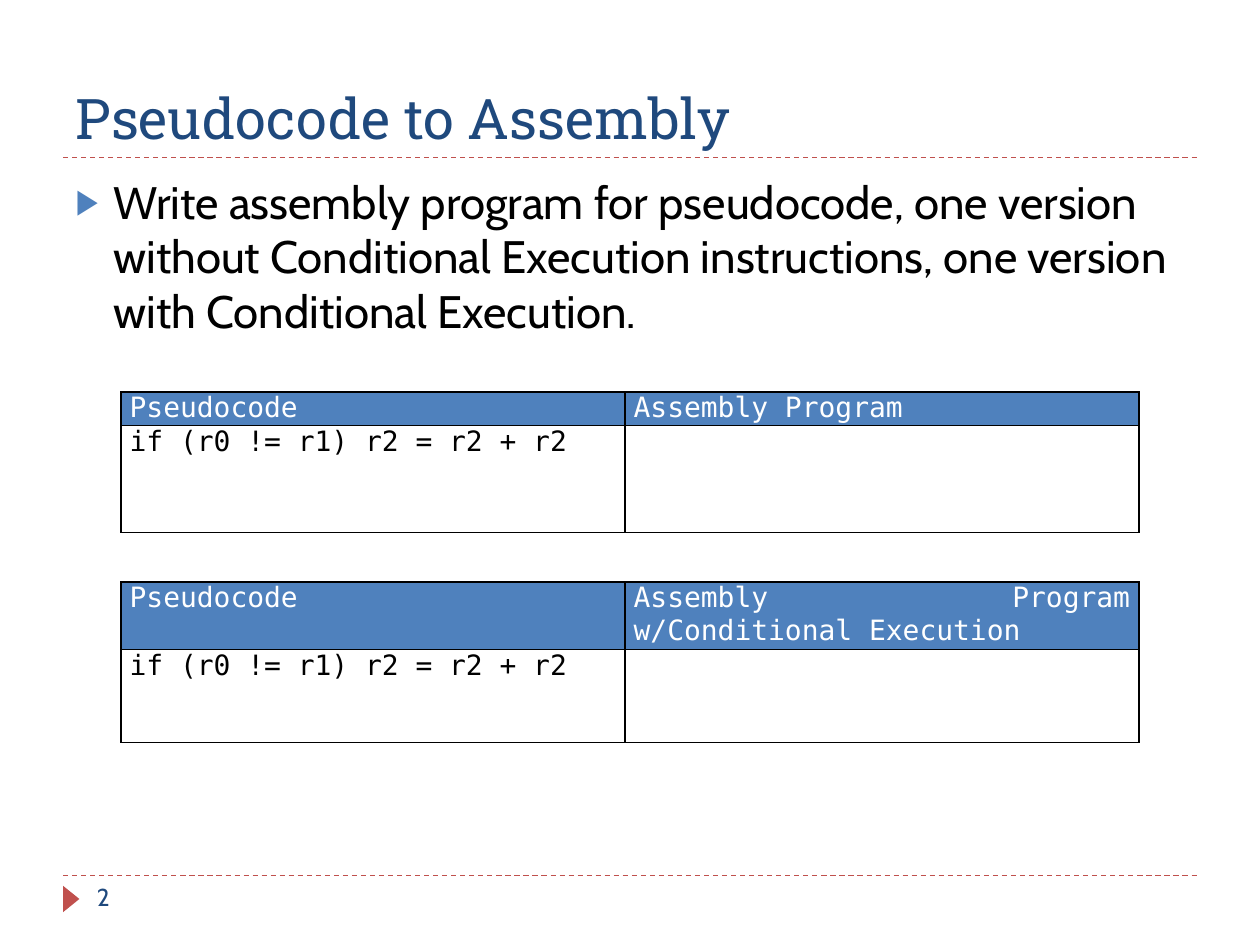
from lxml.etree import SubElement
from pptx import Presentation
from pptx.dml.color import RGBColor
from pptx.enum.dml import MSO_LINE
from pptx.enum.shapes import MSO_CONNECTOR, MSO_SHAPE
from pptx.enum.text import MSO_ANCHOR, MSO_AUTO_SIZE, PP_ALIGN
from pptx.oxml.ns import qn
from pptx.util import Inches, Pt

COLORS = {"navy": "1F497D", "blue": "4F81BD", "red": "C0504D",
          "black": "000000", "white": "FFFFFF"}
TITLE_FONT, BODY_FONT, CODE_FONT = "Roboto Slab", "Cabin", "DejaVu Sans Mono"


def color(name):
    return RGBColor.from_string(COLORS[name])


def place(shape, left, top, width, height):
    shape.left, shape.top = Inches(left), Inches(top)
    shape.width, shape.height = Inches(width), Inches(height)


class SlideBuilder:
    def __init__(self, page):
        self.page = page

    def set_text(self, frame, text, font, size, ink, align=PP_ALIGN.LEFT):
        paragraph = frame.paragraphs[0]
        paragraph.text = text
        paragraph.alignment = align
        paragraph.font.name = font
        paragraph.font.size = Pt(size)
        paragraph.font.color.rgb = color(ink)
        return paragraph

    def title(self, text):
        shape = self.page.shapes.title
        place(shape, 0.5, 0.17, 9, 1.08)
        frame = shape.text_frame
        frame.auto_size = MSO_AUTO_SIZE.NONE
        frame.vertical_anchor = MSO_ANCHOR.BOTTOM
        self.set_text(frame, text, TITLE_FONT, 32, "navy")

    def body(self, text):
        shape = self.page.placeholders[1]
        place(shape, 0.5, 1.33, 9, 2.25)
        frame = shape.text_frame
        frame.auto_size = MSO_AUTO_SIZE.NONE
        paragraph = self.set_text(frame, text, BODY_FONT, 26, "black")
        paragraph.space_before = Pt(6)
        properties = paragraph._p.get_or_add_pPr()
        properties.set("marL", str(Inches(0.3)))
        properties.set("indent", str(Inches(-0.3)))
        bullet_color = SubElement(properties, qn("a:buClr"))
        SubElement(bullet_color, qn("a:srgbClr"), val=COLORS["blue"])
        SubElement(properties, qn("a:buSzPct"), val="76000")
        SubElement(properties, qn("a:buChar"), char="▶")
        properties.append(properties.find(qn("a:defRPr")))

    def rule(self, top):
        line = self.page.shapes.add_connector(
            MSO_CONNECTOR.STRAIGHT, Inches(0.5), Inches(top), Inches(9.5), Inches(top))
        line.line.color.rgb = color("red")
        line.line.width = Pt(0.75)
        line.line.dash_style = MSO_LINE.DASH
        SubElement(line._element.spPr, qn("a:effectLst"))

    def marker(self):
        shape = self.page.shapes.add_shape(
            MSO_SHAPE.ISOSCELES_TRIANGLE, Inches(0.46), Inches(7.07), Inches(0.21), Inches(0.13))
        shape.rotation = 90
        shape.shadow.inherit = False
        shape.fill.solid()
        shape.fill.fore_color.rgb = color("red")
        shape.line.fill.background()

    def page_number(self, number):
        box = self.page.shapes.add_textbox(
            Inches(0.67), Inches(6.95), Inches(2.17), Inches(0.4))
        box.text_frame.word_wrap = True
        self.set_text(box.text_frame, number, BODY_FONT, 14, "navy")

    def cell(self, cell, text, header):
        cell.margin_left = cell.margin_right = Inches(0.07)
        cell.margin_top = cell.margin_bottom = 0
        ink, align = ("white", PP_ALIGN.JUSTIFY) if header else ("black", PP_ALIGN.LEFT)
        self.set_text(cell.text_frame, text, CODE_FONT, 16, ink, align)
        properties = cell._tc.get_or_add_tcPr()
        for side in ("lnL", "lnR", "lnT", "lnB"):
            border = SubElement(properties, qn(f"a:{side}"), w=str(Pt(1)))
            fill = SubElement(border, qn("a:solidFill"))
            SubElement(fill, qn("a:srgbClr"), val=COLORS["black"])
        if header:
            cell.fill.solid()
            cell.fill.fore_color.rgb = color("blue")
        else:
            cell.fill.background()

    def table(self, top, heights, rows):
        table = self.page.shapes.add_table(
            len(rows), 2, Inches(0.96), Inches(top), Inches(8.08), Inches(sum(heights))).table
        table.first_row = table.horz_banding = False
        for column, width in zip(table.columns, (4, 4.08)):
            column.width = Inches(width)
        for index, (texts, height) in enumerate(zip(rows, heights)):
            table.rows[index].height = Inches(height)
            for column, text in enumerate(texts):
                self.cell(table.cell(index, column), text, index == 0)


def main():
    deck = Presentation()
    deck.slide_width, deck.slide_height = Inches(10), Inches(7.5)
    builder = SlideBuilder(deck.slides.add_slide(deck.slide_layouts[1]))
    for top in (6.95, 1.25):
        builder.rule(top)
    builder.marker()
    builder.title("Pseudocode to Assembly")
    builder.page_number("2")
    builder.body("Write assembly program for pseudocode, one version without "
                 "Conditional Execution instructions, one version with "
                 "Conditional Execution.")
    code_row = ("if (r0 != r1) r2 = r2 + r2", "")
    for top, heights, heading in (
            (3.11, (0.24, 0.85), "Assembly Program"),
            (4.62, (0.23, 0.74), "Assembly Program w/Conditional Execution")):
        builder.table(top, heights, (("Pseudocode", heading), code_row))
    deck.save("out.pptx")


if __name__ == "__main__":
    main()
